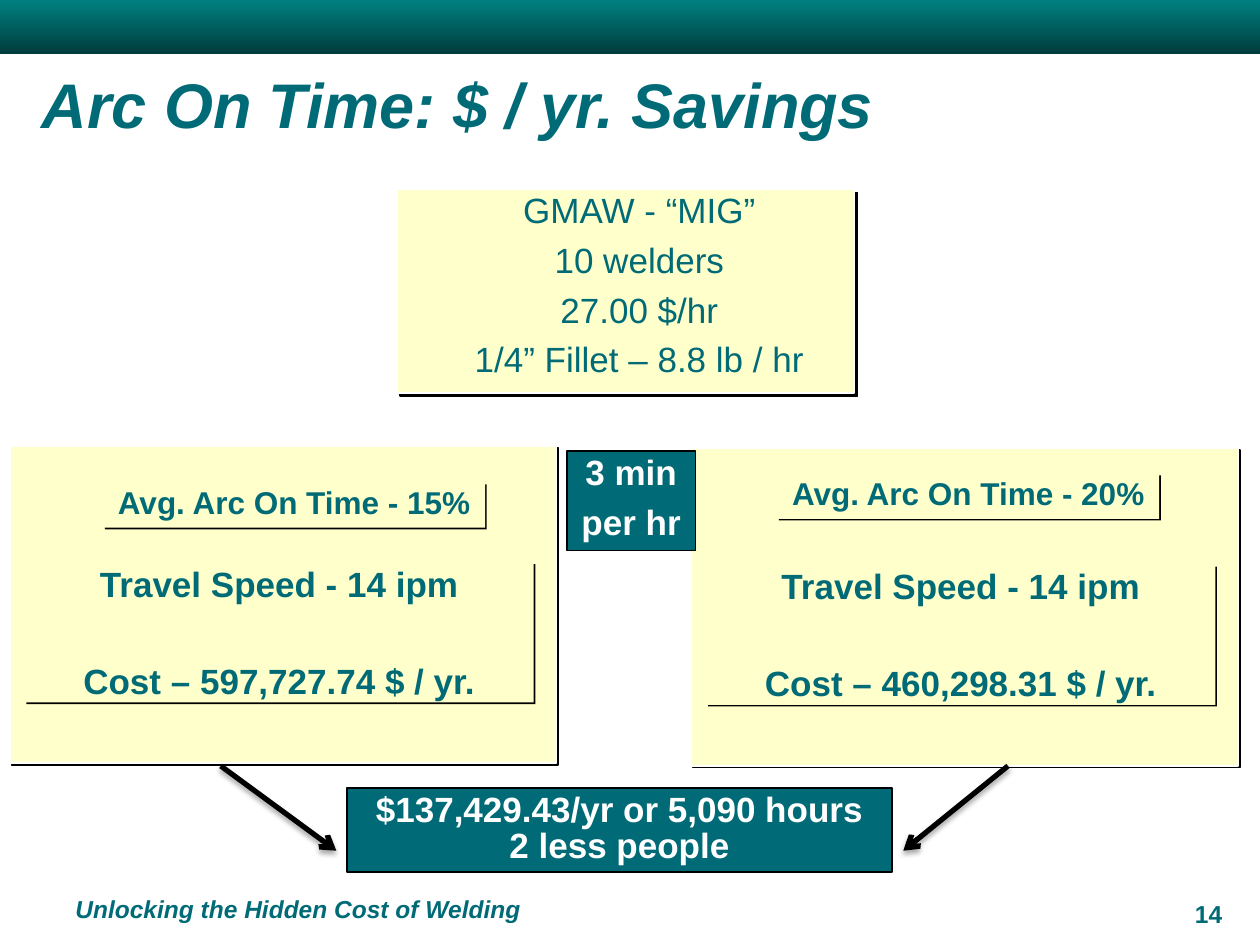
from lxml import etree
from pptx import Presentation
from pptx.dml.color import RGBColor
from pptx.enum.shapes import MSO_CONNECTOR, MSO_SHAPE
from pptx.enum.text import MSO_ANCHOR, MSO_AUTO_SIZE, PP_ALIGN
from pptx.oxml.ns import qn
from pptx.util import Cm, Pt

TEAL = RGBColor(0x00, 0x6B, 0x76)
BAR_TOP = RGBColor(0x00, 0x80, 0x80)
BAR_BOTTOM = RGBColor(0x00, 0x3C, 0x3C)
CREAM = RGBColor(0xFF, 0xFF, 0xCC)
WHITE = RGBColor(0xFF, 0xFF, 0xFF)
BLACK = RGBColor(0x00, 0x00, 0x00)

RECTANGLE = MSO_SHAPE.RECTANGLE
STRAIGHT = MSO_CONNECTOR.STRAIGHT
LEFT, CENTER, RIGHT = PP_ALIGN.LEFT, PP_ALIGN.CENTER, PP_ALIGN.RIGHT
TOP, BOTTOM = MSO_ANCHOR.TOP, MSO_ANCHOR.BOTTOM
NO_AUTOFIT = MSO_AUTO_SIZE.NONE

FONT = "Arial"
PARAGRAPH_GAP = 8
LINE_SPACING = 0.85


def add_shadow(effects, distance, angle=45, blur=0, opacity=100):
    shadow = etree.SubElement(
        effects, qn("a:outerShdw"), blurRad=str(Pt(blur)),
        dist=str(Pt(distance)), dir=str(angle * 60000),
        algn="ctr", rotWithShape="0")
    color = etree.SubElement(shadow, qn("a:srgbClr"), val=str(BLACK))
    etree.SubElement(color, qn("a:alpha"), val=str(opacity * 1000))


def write(shape, lines, size=20, color=TEAL, bold=True, italic=False,
          align=CENTER, anchor=TOP, gap=PARAGRAPH_GAP, spacing=LINE_SPACING,
          wrap=True):
    frame = shape.text_frame
    frame.text = "\n".join(lines)
    frame.word_wrap = wrap
    frame.auto_size = NO_AUTOFIT
    frame.vertical_anchor = anchor
    for paragraph in frame.paragraphs:
        paragraph.alignment = align
        paragraph.line_spacing = spacing
        paragraph.space_before = Pt(gap)
        for run in paragraph.runs:
            run.font.name = FONT
            run.font.size = Pt(size)
            run.font.bold = bold
            run.font.italic = italic
            run.font.color.rgb = color
    return frame


def add_box(shapes, left, top, width, height, fill, outline=None, shadow=0):
    box = shapes.add_shape(RECTANGLE, Cm(left), Cm(top), Cm(width), Cm(height))
    box.fill.solid()
    box.fill.fore_color.rgb = fill
    if outline is None:
        box.line.fill.background()
    else:
        box.line.color.rgb = outline
        box.line.width = Pt(1)
    box.shadow.inherit = False
    if shadow:
        add_shadow(box._element.spPr.find(qn("a:effectLst")), shadow)
    return box


def add_label(slide, left, top, width, height, lines, **style):
    label = slide.shapes.add_textbox(Cm(left), Cm(top), Cm(width), Cm(height))
    return write(label, lines, **style)


def add_top_bar(slide):
    bar = add_box(slide.shapes, 0, 0, 25.4, 1.1, BAR_TOP)
    bar.fill.gradient()
    bar.fill.gradient_angle = 270
    for stop, color, position in zip(
            bar.fill.gradient_stops, (BAR_TOP, BAR_BOTTOM), (0, 1)):
        stop.color.rgb = color
        stop.position = position


def add_title(slide, text):
    title = slide.shapes.title
    title.left, title.top = Cm(0.84), Cm(1.47)
    title.width, title.height = Cm(22.86), Cm(1.4)
    frame = write(title, [text], size=36, italic=True, align=LEFT,
                  anchor=BOTTOM, gap=0, spacing=0.9)
    frame.margin_left = frame.margin_right = 0
    frame.margin_top = frame.margin_bottom = 0


def add_assumptions(slide, lines):
    add_box(slide.shapes, 8, 3.81, 9.22, 4.11, CREAM, WHITE, shadow=2.8)
    frame = add_label(slide, 8.84, 3.81, 8.1, 4.06, lines, bold=False)
    for paragraph in frame.paragraphs:
        for run in paragraph.runs:
            effects = etree.Element(qn("a:effectLst"))
            run.font._element.find(qn("a:latin")).addprevious(effects)
            add_shadow(effects, 2)


def add_scenario(slide, left, top, heading_left, heading_top, arc_time, cost):
    shapes = slide.shapes.add_group_shape().shapes
    add_box(shapes, left, top, 11.02, 6.4, CREAM, WHITE, shadow=1.4)
    heading = add_box(shapes, heading_left, heading_top, 7.7, 0.91, CREAM,
                      shadow=1.4)
    write(heading, [f"Avg. Arc On Time - {arc_time}"], size=18, wrap=False)
    details = add_box(shapes, left + 0.3, top + 2.35, 10.26, 2.82, CREAM,
                      shadow=1.4)
    frame = write(details, ["Travel Speed - 14 ipm", f"Cost – {cost} $ / yr."])
    frame.paragraphs[1].space_before = Pt(35)


def add_callout(slide, left, top, width, height, lines):
    callout = add_box(slide.shapes, left, top, width, height, TEAL, BLACK)
    write(callout, lines, color=WHITE)


def add_arrow(slide, start_x, end_x):
    arrow = slide.shapes.add_connector(
        STRAIGHT, Cm(start_x), Cm(15.44), Cm(end_x), Cm(17.15))
    arrow.line.color.rgb = BLACK
    arrow.line.width = Pt(3)
    etree.SubElement(arrow.line._get_or_add_ln(), qn("a:tailEnd"), type="arrow")
    effects = etree.SubElement(arrow._element.spPr, qn("a:effectLst"))
    add_shadow(effects, 1.8, angle=90, blur=3.1, opacity=35)


def main():
    presentation = Presentation()
    presentation.slide_width, presentation.slide_height = Cm(25.4), Cm(19.05)
    slide = presentation.slides.add_slide(presentation.slide_layouts[5])

    add_top_bar(slide)
    add_title(slide, "Arc On Time: $ / yr. Savings")
    add_assumptions(slide, ["GMAW - “MIG”", "10 welders", "27.00 $/hr",
                            "1/4” Fillet – 8.8 lb / hr"])
    add_scenario(slide, 0.2, 8.99, 2.08, 9.73, "15%", "597,727.74")
    add_scenario(slide, 13.94, 9.04, 15.67, 9.55, "20%", "460,298.31")
    add_callout(slide, 11.43, 9.09, 2.59, 2.01, ["3 min", "per hr"])
    add_callout(slide, 6.99, 15.88, 11, 1.7,
                ["$137,429.43/yr or 5,090 hours\v2 less people"])
    add_arrow(slide, 20.32, 18.21)
    add_arrow(slide, 4.45, 6.78)

    add_label(slide, 1.27, 17.98, 9.73, 0.76,
              ["Unlocking the Hidden Cost of Welding"],
              size=14, italic=True, align=LEFT)
    page_number = add_label(slide, 20.12, 17.58, 5.28, 1.27, ["14"], size=14,
                            align=RIGHT, anchor=BOTTOM, gap=0, spacing=1)
    page_number.margin_right = Cm(0.76)

    presentation.save("out.pptx")


if __name__ == "__main__":
    main()
